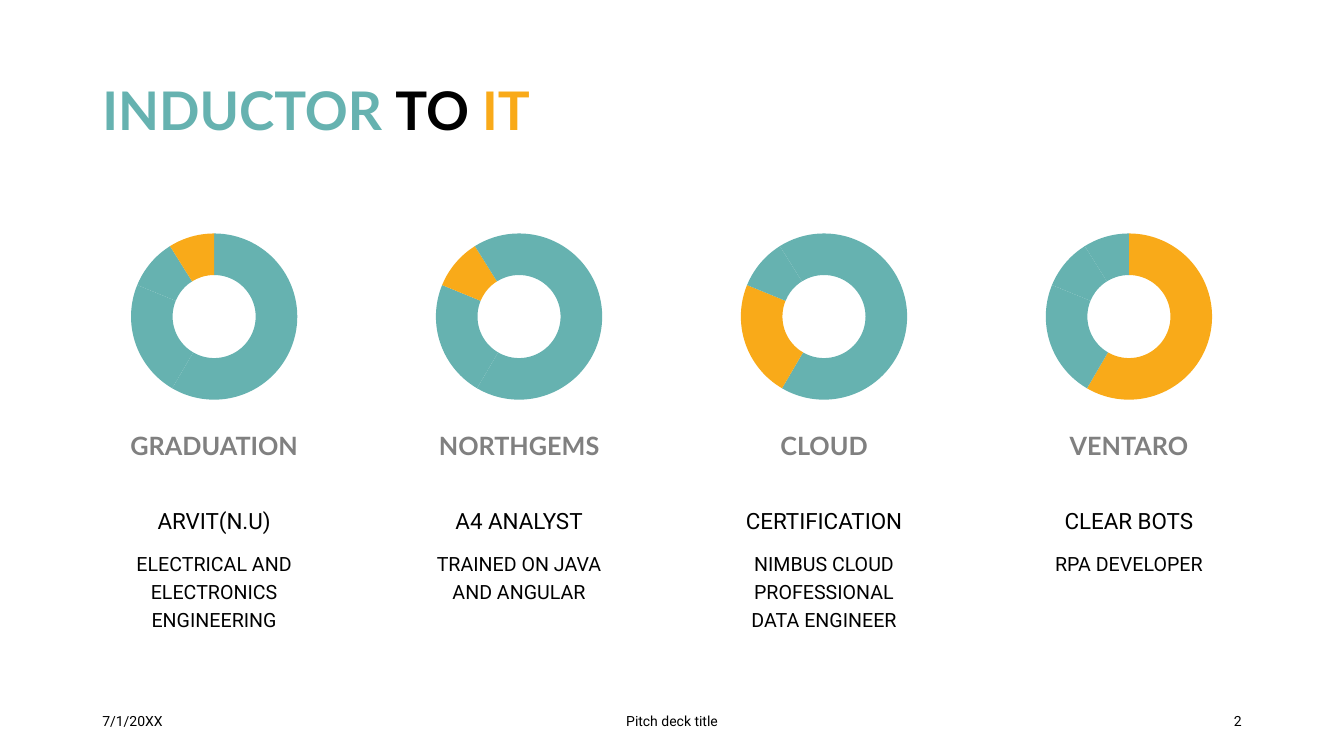
import dataclasses

import lxml.etree
import pptx
import pptx.chart.data
import pptx.dml.color
import pptx.enum.chart
import pptx.enum.text
import pptx.oxml.ns
import pptx.slide
import pptx.util

COLORS = {"teal": "66B2B0", "amber": "F9AA19", "black": "000000", "gray": "808080"}
ALIGN = pptx.enum.text.PP_ALIGN
ANCHOR = pptx.enum.text.MSO_ANCHOR
SHARES = (59, 23, 10, 9)
STAGES = [
    ("GRADUATION", "ARVIT(N.U)", ["ELECTRICAL AND ELECTRONICS ENGINEERING"], 3),
    ("NORTHGEMS", "A4 ANALYST", ["TRAINED ON JAVA AND ANGULAR"], 2),
    ("CLOUD", "CERTIFICATION", ["NIMBUS CLOUD PROFESSIONAL", "DATA ENGINEER"], 1),
    ("VENTARO", "CLEAR BOTS", ["RPA DEVELOPER"], 0),
]


def rgb(name):
    return pptx.dml.color.RGBColor.from_string(COLORS[name])


@dataclasses.dataclass
class Deck:
    """Draws styled elements on a slide with a grid of 160 columns and 90 rows."""

    slide: pptx.slide.Slide
    column: float
    row: float
    heading_font: str = "Lato"
    body_font: str = "Roboto"

    def place(self, left, top, width, height):
        return (round(left * self.column), round(top * self.row),
                round(width * self.column), round(height * self.row))

    def style(self, font, size, color, heading=False):
        font.name = self.heading_font if heading else self.body_font
        font.size = pptx.util.Pt(size)
        font.bold = heading
        if color:
            font.color.rgb = rgb(color)

    def text(self, box, lines, size, color="black", heading=False,
             align=ALIGN.CENTER, anchor=ANCHOR.TOP, spacing=None):
        frame = self.slide.shapes.add_textbox(*self.place(*box)).text_frame
        frame.word_wrap = True
        frame.vertical_anchor = anchor
        for index, line in enumerate(lines):
            paragraph = frame.add_paragraph() if index else frame.paragraphs[0]
            paragraph.text = line
            paragraph.alignment = align
            paragraph.line_spacing = spacing
            self.style(paragraph.font, size, color, heading)
        return frame

    def title(self, box, parts):
        frame = self.text(box, [""], 38, None, True, ALIGN.LEFT, ANCHOR.MIDDLE, 0.9)
        for words, color in parts:
            run = frame.paragraphs[0].add_run()
            run.text = words
            run.font.color.rgb = rgb(color)

    def doughnut(self, box, values, highlight):
        data = pptx.chart.data.CategoryChartData()
        data.categories = [str(number + 1) for number in range(len(values))]
        data.add_series("Series 1", values)
        chart = self.slide.shapes.add_chart(
            pptx.enum.chart.XL_CHART_TYPE.DOUGHNUT, *self.place(*box), data).chart
        chart.has_legend = False
        chart.has_title = False
        self.style(chart.font, 10, "black")
        chart.plots[0].vary_by_categories = True
        for index in range(len(values)):
            point = chart.plots[0].series[0].points[index].format
            point.fill.solid()
            point.fill.fore_color.rgb = rgb("amber" if index == highlight else "teal")
            point.line.fill.background()
        self.center_plot(chart, 0.825, 0.87)

    def center_plot(self, chart, width, height):
        qn = pptx.oxml.ns.qn
        area = chart.plots[0]._element.getparent()
        for layout in area.findall(qn("c:layout")):
            area.remove(layout)
        layout = lxml.etree.Element(qn("c:layout"))
        area.insert(0, layout)
        manual = lxml.etree.SubElement(layout, qn("c:manualLayout"))
        settings = [("layoutTarget", "inner"), ("xMode", "edge"), ("yMode", "edge"),
                    ("x", (1 - width) / 2), ("y", (1 - height) / 2),
                    ("w", width), ("h", height)]
        for tag, value in settings:
            lxml.etree.SubElement(manual, qn("c:" + tag)).set("val", str(value))

    def stage(self, left, name, role, details, highlight):
        self.doughnut((left + 1.5, 26.3, 24, 22.8), SHARES, highlight)
        self.text((left, 51, 27, 7.2), [name], 18, "gray", True, spacing=0.9)
        leading = pptx.util.Pt(20)
        self.text((left, 59.6, 27, 3.6), [role], 16, spacing=leading)
        self.text((left, 64.6, 27, 12), details, 14, spacing=leading)


def main():
    presentation = pptx.Presentation()
    presentation.slide_width = pptx.util.Inches(13.33)
    presentation.slide_height = pptx.util.Inches(7.5)
    slide = presentation.slides.add_slide(presentation.slide_layouts[6])
    deck = Deck(slide, presentation.slide_width / 160, presentation.slide_height / 90)

    deck.title((11, 4.8, 138, 17.4),
               [("INDUCTOR ", "teal"), ("TO ", "black"), ("IT", "amber")])
    for index, stage in enumerate(STAGES):
        deck.stage(12 + 36.3 * index, *stage)
    footer = [(11, 36, "7/1/20XX", ALIGN.LEFT),
              (53, 54, "Pitch deck title", ALIGN.CENTER),
              (113, 36, "2", ALIGN.RIGHT)]
    for left, width, words, align in footer:
        deck.text((left, 83.4, width, 4.8), [words], 10, align=align, anchor=ANCHOR.MIDDLE)
    presentation.save("out.pptx")


if __name__ == "__main__":
    main()
